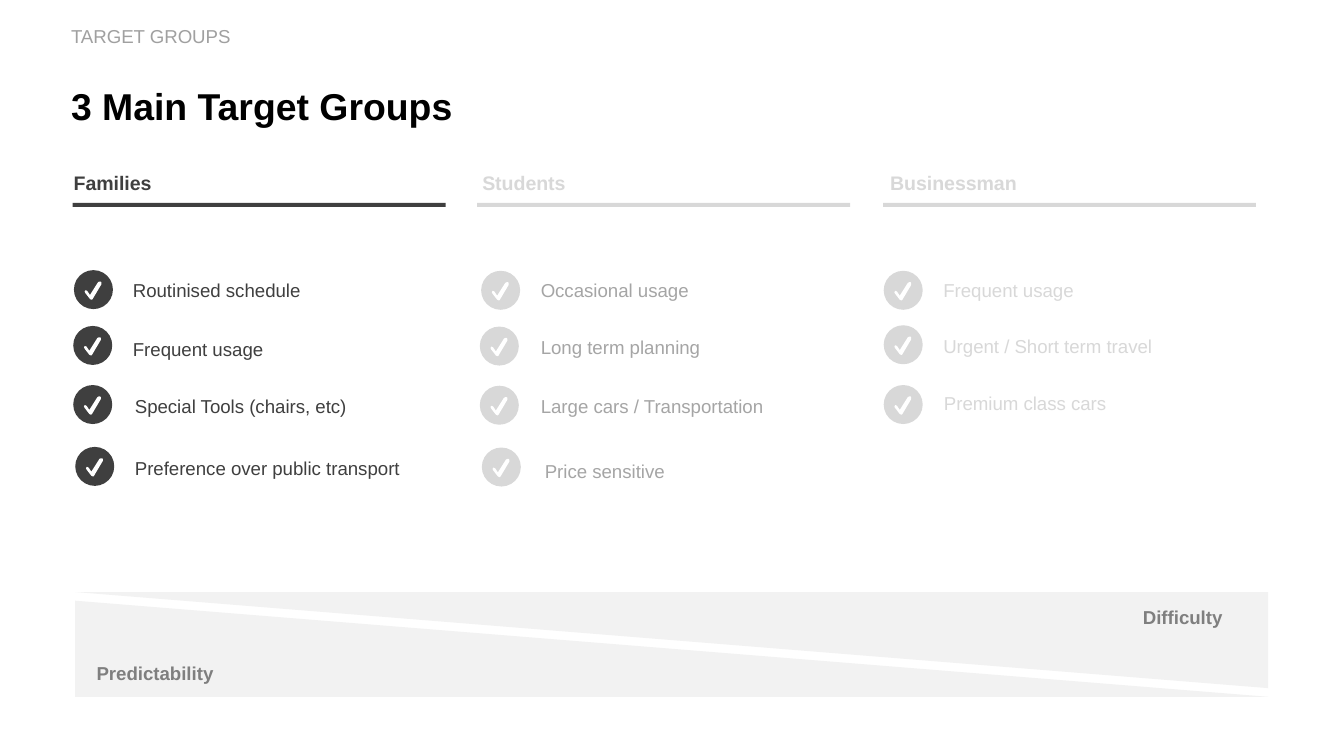
import pptx
import pptx.dml.color
import pptx.enum.shapes
import pptx.enum.text
import pptx.util

PX = 4572
SHAPES = pptx.enum.shapes.MSO_SHAPE
ANCHORS = pptx.enum.text.MSO_ANCHOR
DARK, PALE, GREY, PANEL, LABEL = "3F3F3F", "D8D8D8", "A5A5A5", "F2F2F2", "7F7F7F"

deck = pptx.Presentation()
deck.slide_width, deck.slide_height = 2000 * PX, 1125 * PX
slide = deck.slides.add_slide(deck.slide_layouts[6])


def paint(shape, color):
    shape.shadow.inherit = False
    shape.fill.solid()
    shape.fill.fore_color.rgb = pptx.dml.color.RGBColor.from_string(color)
    shape.line.fill.background()


def write(words, box, size, color, bold=False, inset=10, anchor=ANCHORS.TOP):
    frame = slide.shapes.add_textbox(*[v * PX for v in box]).text_frame
    frame.word_wrap = True
    frame.vertical_anchor = anchor
    frame.margin_left = frame.margin_right = 20 * PX
    frame.margin_top = frame.margin_bottom = inset * PX
    run = frame.paragraphs[0].add_run()
    run.text = words
    run.font.name = "Arial"
    run.font.size = pptx.util.Pt(size)
    run.font.bold = bold
    run.font.color.rgb = pptx.dml.color.RGBColor.from_string(color)
    return frame.paragraphs[0]


write("TARGET GROUPS", (86, 34, 598, 40), 10, "A0A0A0", inset=20, anchor=ANCHORS.MIDDLE)
headline = write("3 Main Target Groups", (86, 114, 1884, 114), 20, "000000", True, inset=20)
headline.line_spacing = 0.85

for top, turn in ((894, 0), (881, 180)):
    wedge = slide.shapes.add_shape(SHAPES.RIGHT_TRIANGLE, 112 * PX, top * PX, 1775 * PX, 143 * PX)
    wedge.rotation = turn
    paint(wedge, PANEL)
write("Predictability", (124, 975, 530, 54), 10, LABEL, True)
write("Difficulty", (1681, 892, 530, 54), 10, LABEL, True)

tick_outline = [(26, 44), (24, 43), (17, 34), (16, 32), (17, 30), (18, 30), (20, 31),
                (24, 37), (36, 18), (38, 17), (40, 17), (41, 18), (41, 21),
                (28, 43), (27, 44)]

groups = [
    ("Families", 90, 108, DARK, DARK, [
        ("Routinised schedule", 178, 405, 110, 402),
        ("Frequent usage", 178, 493, 109, 485),
        ("Special Tools (chairs, etc)", 181, 578, 109, 573),
        ("Preference over public transport", 181, 670, 112, 665)]),
    ("Students", 698, 710, PALE, GREY, [
        ("Occasional usage", 785, 405, 716, 403),
        ("Long term planning", 785, 490, 714, 486),
        ("Large cars / Transportation", 785, 578, 714, 574),
        ("Price sensitive", 791, 674, 717, 666)]),
    ("Businessman", 1305, 1314, PALE, PALE, [
        ("Frequent usage", 1384, 405, 1315, 403),
        ("Urgent / Short term travel", 1384, 488, 1315, 484),
        ("Premium class cars", 1385, 574, 1315, 573)]),
]

for group, name_left, rule_left, accent, text_color, traits in groups:
    write(group, (name_left, 241, 538, 62), 10.5, accent, True, inset=20, anchor=ANCHORS.MIDDLE)
    rule = slide.shapes.add_shape(SHAPES.RECTANGLE, rule_left * PX, 302 * PX, 555 * PX, 6 * PX)
    paint(rule, accent)
    for trait, text_left, text_top, badge_left, badge_top in traits:
        badge = slide.shapes.add_shape(SHAPES.OVAL, badge_left * PX, badge_top * PX, 58 * PX, 58 * PX)
        paint(badge, accent)
        outline = slide.shapes.build_freeform(*tick_outline[0], scale=PX)
        outline.add_line_segments(tick_outline[1:], close=True)
        tick = outline.convert_to_shape(badge_left * PX, badge_top * PX)
        paint(tick, "FFFFFF")
        write(trait, (text_left, text_top, 530, 54), 10, text_color)

deck.save("out.pptx")
